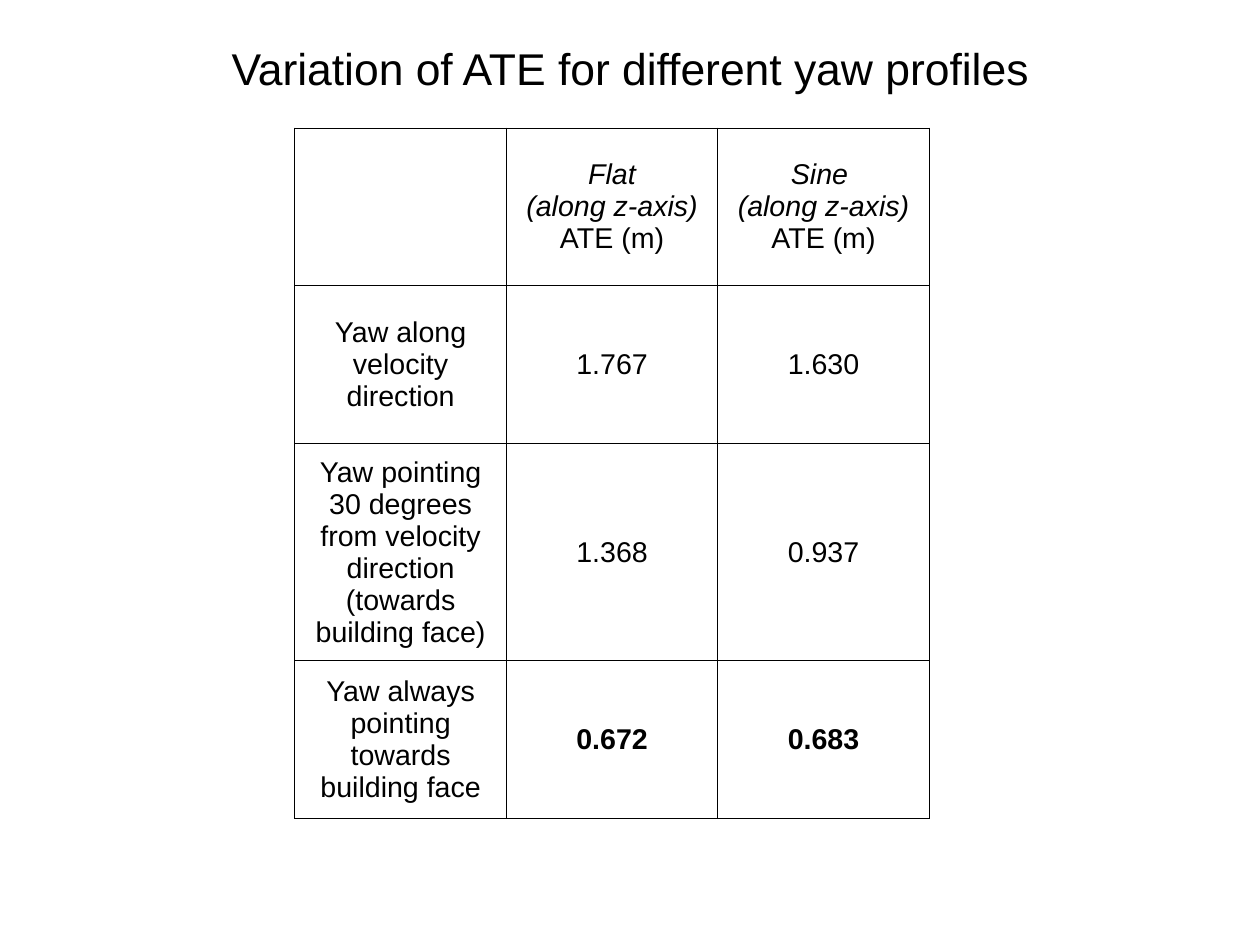
"""Build a slide with a table of ATE for different yaw profiles."""
from lxml.etree import SubElement as Sub
from pptx import Presentation
from pptx.dml.color import RGBColor as RGB
from pptx.enum.text import MSO_ANCHOR as Anchor, PP_ALIGN as Align
from pptx.oxml.ns import qn
from pptx.util import Cm, Inches, Pt

HUES = {"ink": "000000"}
FACE = "Arial"
WIDE, HIGH = Cm(28), Cm(21)
COL, ROW = Inches(1.85), Inches(1.38)
LINE = Pt(0.57)
ROWS = [
    ["", "Flat\n(along z-axis)\nATE (m)", "Sine \n(along z-axis)\nATE (m)"],
    ["Yaw along velocity direction", "1.767", "1.630"],
    ["Yaw pointing 30 degrees from velocity direction (towards building face)",
     "1.368", "0.937"],
    ["Yaw always pointing towards building face", "0.672", "0.683"],
]


def style(par, size, bold=False, slant=False):
    par.alignment = Align.CENTER
    for run in par.runs:
        font = run.font
        font.name, font.size = FACE, Pt(size)
        font.bold, font.italic = bold, slant
        font.color.rgb = RGB.from_string(HUES["ink"])


def edge(cell):
    props = cell._tc.get_or_add_tcPr()
    for side in ("lnL", "lnR", "lnT", "lnB"):
        line = Sub(props, qn(f"a:{side}"), w=str(LINE))
        fill = Sub(line, qn("a:solidFill"))
        Sub(fill, qn("a:srgbClr"), val=HUES["ink"])
    cell.fill.background()


deck = Presentation()
deck.slide_width, deck.slide_height = WIDE, HIGH
slide = deck.slides.add_slide(deck.slide_layouts[6])

title = slide.shapes.add_textbox(
    int(WIDE * 0.05), Inches(0.32), int(WIDE * 0.9), Inches(0.54))
frame = title.text_frame
frame.word_wrap = True
frame.vertical_anchor = Anchor.MIDDLE
frame.margin_left = frame.margin_right = 0
frame.margin_top = frame.margin_bottom = 0
frame.text = "Variation of ATE for different yaw profiles"
style(frame.paragraphs[0], 28)

board = slide.shapes.add_table(
    len(ROWS), len(ROWS[0]), Inches(2.58), Inches(1.12),
    COL * len(ROWS[0]), ROW * len(ROWS))
board.height = Inches(5.92)
grid = board.table
grid.first_row = grid.horz_banding = False
for r, texts in enumerate(ROWS):
    for c, text in enumerate(texts):
        cell = grid.cell(r, c)
        cell.vertical_anchor = Anchor.MIDDLE
        edge(cell)
        cell.text_frame.text = text
        for n, par in enumerate(cell.text_frame.paragraphs):
            style(par, 18, bold=r == 3 and c > 0, slant=r == 0 and n < 2)

deck.save("out.pptx")
